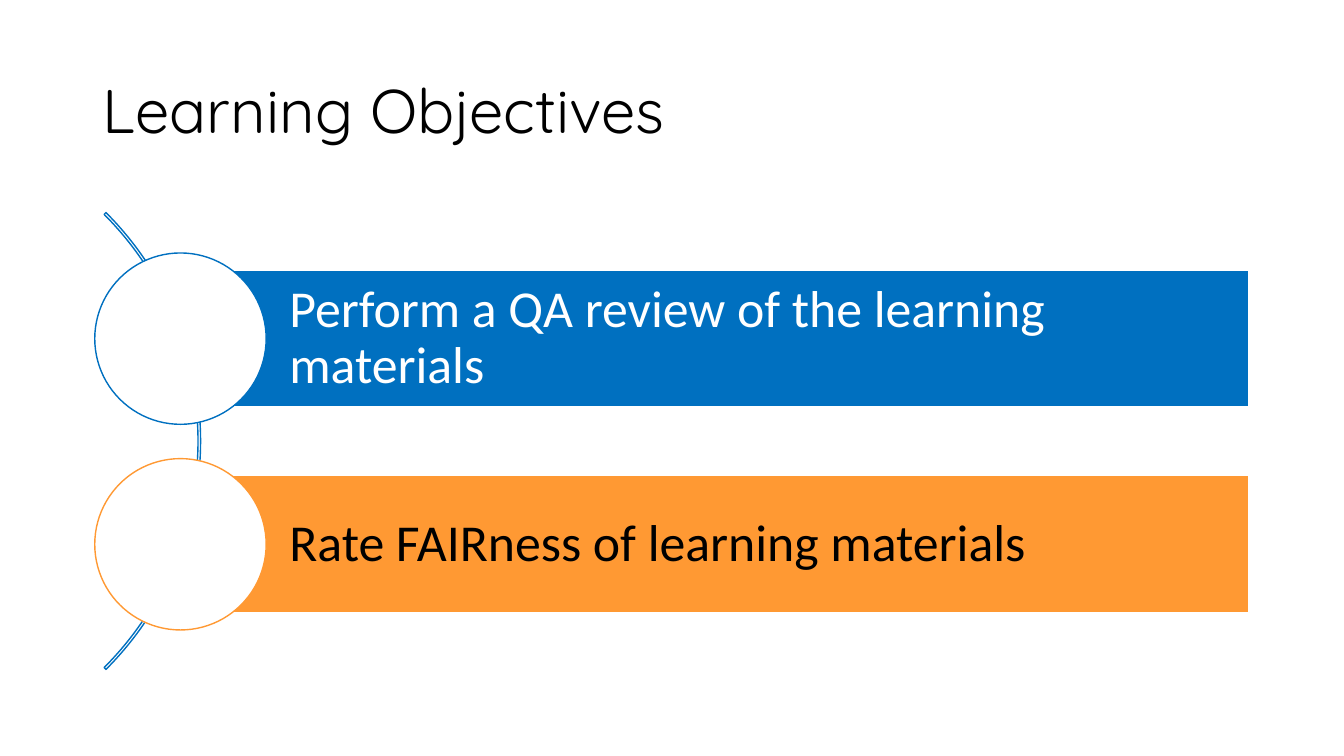
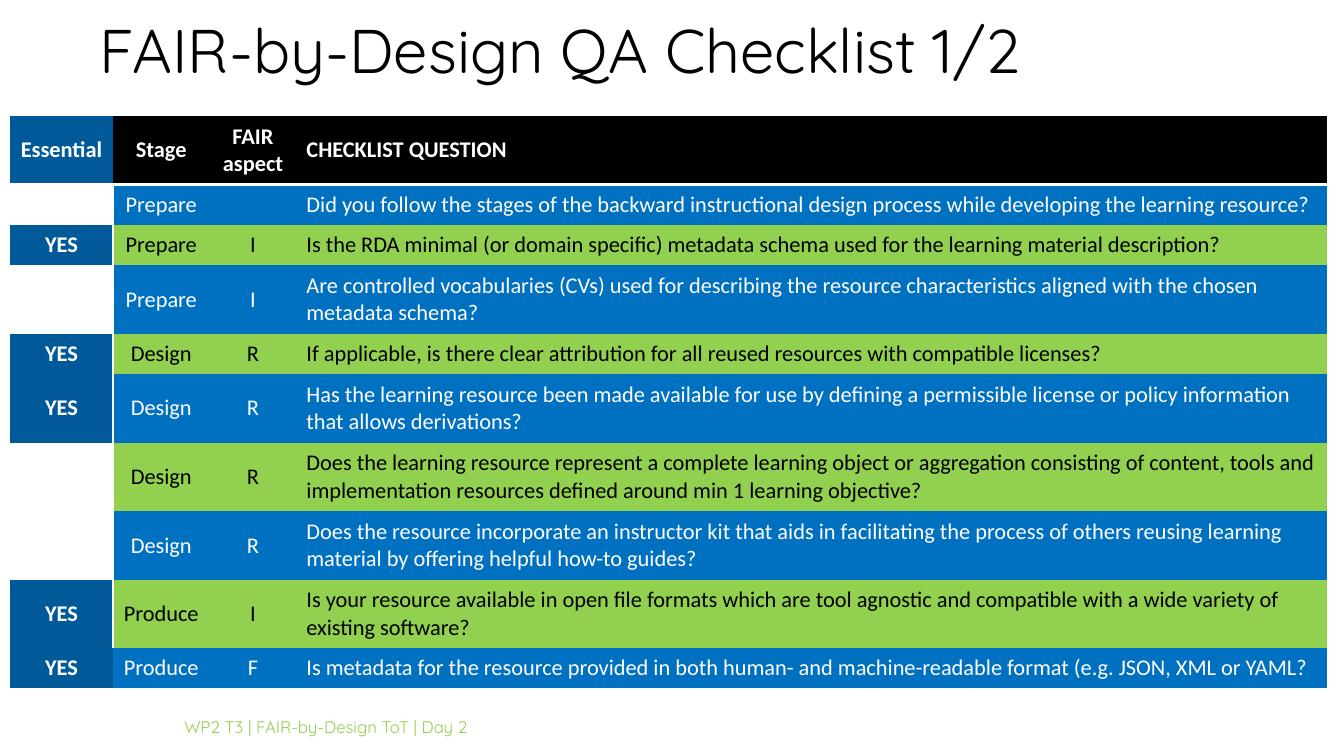
from lxml import etree
from pptx import Presentation
from pptx.dml.color import RGBColor
from pptx.enum import shapes, text
from pptx.oxml import ns
from pptx.util import Pt

PX = 9144  # EMU in one px, 100 px to the inch
WIDTH, HEIGHT = 1333, 750

BLACK = RGBColor(0x00, 0x00, 0x00)
WHITE = RGBColor(0xFF, 0xFF, 0xFF)
BLUE = RGBColor(0x00, 0x70, 0xC0)
DARK_BLUE = RGBColor(0x00, 0x5A, 0x9A)
ORANGE = RGBColor(0xFF, 0x99, 0x33)
GREEN = RGBColor(0x92, 0xD0, 0x50)

TITLE_FONT, BODY_FONT = "Quicksand", "Calibri"
PLAIN_TABLE_STYLE = "{2D5ABB26-0587-4C30-8999-92F81FD0307C}"

OBJECTIVES = [
    ("Perform a QA review of the learning materials", BLUE, WHITE),
    ("Rate FAIRness of learning materials", ORANGE, BLACK),
]

COLUMN_WIDTHS = [102, 96, 86, 1022]
HEADER = ("Essential", "Stage", "FAIR aspect", "CHECKLIST QUESTION")
ONE_LINE, TWO_LINES = 40, 68
CHECKLIST = [
    (ONE_LINE, "", "Prepare", "",
     "Did you follow the stages of the backward instructional design process "
     "while developing the learning resource?"),
    (ONE_LINE, "YES", "Prepare", "I",
     "Is the RDA minimal (or domain specific) metadata schema used for the "
     "learning material description?"),
    (TWO_LINES, "", "Prepare", "I",
     "Are controlled vocabularies (CVs) used for describing the resource "
     "characteristics aligned with the chosen metadata schema?"),
    (ONE_LINE, "YES", "Design", "R",
     "If applicable, is there clear attribution for all reused resources with "
     "compatible licenses?"),
    (TWO_LINES, "YES", "Design", "R",
     "Has the learning resource been made available for use by defining a "
     "permissible license or policy information that allows derivations?"),
    (TWO_LINES, "", "Design", "R",
     "Does the learning resource represent a complete learning object or "
     "aggregation consisting of content, tools and implementation resources "
     "defined around min 1 learning objective?"),
    (TWO_LINES, "", "Design", "R",
     "Does the resource incorporate an instructor kit that aids in facilitating "
     "the process of others reusing learning material by offering helpful "
     "how-to guides?"),
    (TWO_LINES, "YES", "Produce", "I",
     "Is your resource available in open file formats which are tool agnostic "
     "and compatible with a wide variety of existing software?"),
    (ONE_LINE, "YES", "Produce", "F",
     "Is metadata for the resource provided in both human- and machine-readable "
     "format (e.g. JSON, XML or YAML?"),
]


def emu(*lengths):
    return [length * PX for length in lengths]


def write(frame, content, size, color, font=BODY_FONT, bold=False,
          align=text.PP_ALIGN.LEFT, line_spacing=None):
    paragraph = frame.paragraphs[0]
    paragraph.alignment = align
    if line_spacing:
        paragraph.line_spacing = line_spacing
    run = paragraph.add_run()
    run.text = content
    run.font.name = font
    run.font.size = Pt(size)
    run.font.bold = bold
    run.font.color.rgb = color


def add_text(slide, box, content, size, color, **text_format):
    frame = slide.shapes.add_textbox(*emu(*box)).text_frame
    frame.word_wrap = True
    frame.vertical_anchor = text.MSO_ANCHOR.MIDDLE
    write(frame, content, size, color, **text_format)


def add_title(slide, left, top, content):
    add_text(slide, (left, top, 1150, 145), content, 44, BLACK,
             font=TITLE_FONT, line_spacing=0.9)


def add_shape(slide, kind, box, fill, line):
    shape = slide.shapes.add_shape(kind, *emu(*box))
    shape.shadow.inherit = False
    if fill is None:
        shape.fill.background()
    else:
        shape.fill.solid()
        shape.fill.fore_color.rgb = fill
    shape.line.color.rgb = line
    shape.line.width = Pt(1)
    return shape


def add_objective(slide, box, content, color, text_color):
    """Place a banner in the box, with a circle centred on its left edge."""
    left, top, _, height = box
    banner = add_shape(slide, shapes.MSO_SHAPE.RECTANGLE, box, color, WHITE)
    frame = banner.text_frame
    frame.word_wrap = True
    frame.vertical_anchor = text.MSO_ANCHOR.MIDDLE
    frame.margin_left, frame.margin_top, frame.margin_right, frame.margin_bottom = emu(
        108, 10, 10, 10)
    write(frame, content, 37, text_color, line_spacing=0.9)

    diameter = height * 5 // 4
    circle = (left - diameter // 2, top + (height - diameter) // 2, diameter, diameter)
    add_shape(slide, shapes.MSO_SHAPE.OVAL, circle, WHITE, color)


def add_objectives(slide, left, top, width, height):
    """Place the arc and the banners that follow it."""
    arc_size = 641
    arc_box = (left - 536, top + (height - arc_size) // 2, arc_size, arc_size)
    arc = add_shape(slide, shapes.MSO_SHAPE.BLOCK_ARC, arc_box, None, BLUE)
    for index, value in enumerate((189, 27, 0.004)):
        arc.adjustments[index] = value

    banner_height, pitch = 136, 204
    first_top = top + (height - pitch - banner_height) // 2
    for index, objective in enumerate(OBJECTIVES):
        box = (left + 85, first_top + index * pitch, width - 85, banner_height)
        add_objective(slide, box, *objective)


def add_white_border(cell, side):
    properties = cell._tc.get_or_add_tcPr()
    line = etree.Element(ns.qn(f"a:ln{side}"), w=str(Pt(2)))
    fill = etree.SubElement(line, ns.qn("a:solidFill"))
    etree.SubElement(fill, ns.qn("a:srgbClr"), val=str(WHITE))
    properties.insert(0, line)


def fill_cell(cell, content, fill, color, **text_format):
    cell.vertical_anchor = text.MSO_ANCHOR.MIDDLE
    if fill is None:
        cell.fill.background()
    else:
        cell.fill.solid()
        cell.fill.fore_color.rgb = fill
    write(cell.text_frame, content, 16, color, **text_format)


def cell_colors(row, column, content):
    """Return the fill and the text colour of a checklist cell."""
    if column == 0:
        return (DARK_BLUE if content else None), WHITE
    if row == 0:
        return BLACK, WHITE
    return (BLUE, WHITE) if row % 2 else (GREEN, BLACK)


def add_checklist(slide, left, top):
    heights = [68] + [height for height, *_ in CHECKLIST]
    rows = [HEADER] + [cells for _, *cells in CHECKLIST]
    frame = slide.shapes.add_table(
        len(rows), len(COLUMN_WIDTHS),
        *emu(left, top, sum(COLUMN_WIDTHS), sum(heights)))
    table = frame.table
    table.first_row = table.horz_banding = False
    table._tbl.tblPr.find(ns.qn("a:tableStyleId")).text = PLAIN_TABLE_STYLE

    for column, width in zip(table.columns, emu(*COLUMN_WIDTHS)):
        column.width = width
    for row, height in zip(table.rows, emu(*heights)):
        row.height = height

    last_column = len(COLUMN_WIDTHS) - 1
    for row, contents in enumerate(rows):
        for column, content in enumerate(contents):
            cell = table.cell(row, column)
            centred = column < last_column
            fill_cell(cell, content, *cell_colors(row, column, content),
                      bold=row == 0 or column == 0,
                      align=text.PP_ALIGN.CENTER if centred else text.PP_ALIGN.LEFT)
            if row == 0:
                add_white_border(cell, "B")
            elif column == 0 and row < len(rows) - 1:
                add_white_border(cell, "R")


def add_footer(slide):
    add_text(slide, (173, 701, 587, 40), "WP2 T3 | FAIR-by-Design ToT | Day 2",
             12, GREEN, font=TITLE_FONT)


def build_objectives_slide(slide):
    add_title(slide, 92, 40, "Learning Objectives")
    add_objectives(slide, 94, 200, 1145, 476)


def build_checklist_slide(slide):
    add_title(slide, 89, -19, "FAIR-by-Design QA Checklist 1/2")
    add_checklist(slide, 10, 115)
    add_footer(slide)


def main():
    presentation = Presentation()
    presentation.slide_width, presentation.slide_height = emu(WIDTH, HEIGHT)
    blank = presentation.slide_layouts[6]
    for build in (build_objectives_slide, build_checklist_slide):
        build(presentation.slides.add_slide(blank))
    presentation.save("out.pptx")


if __name__ == "__main__":
    main()
